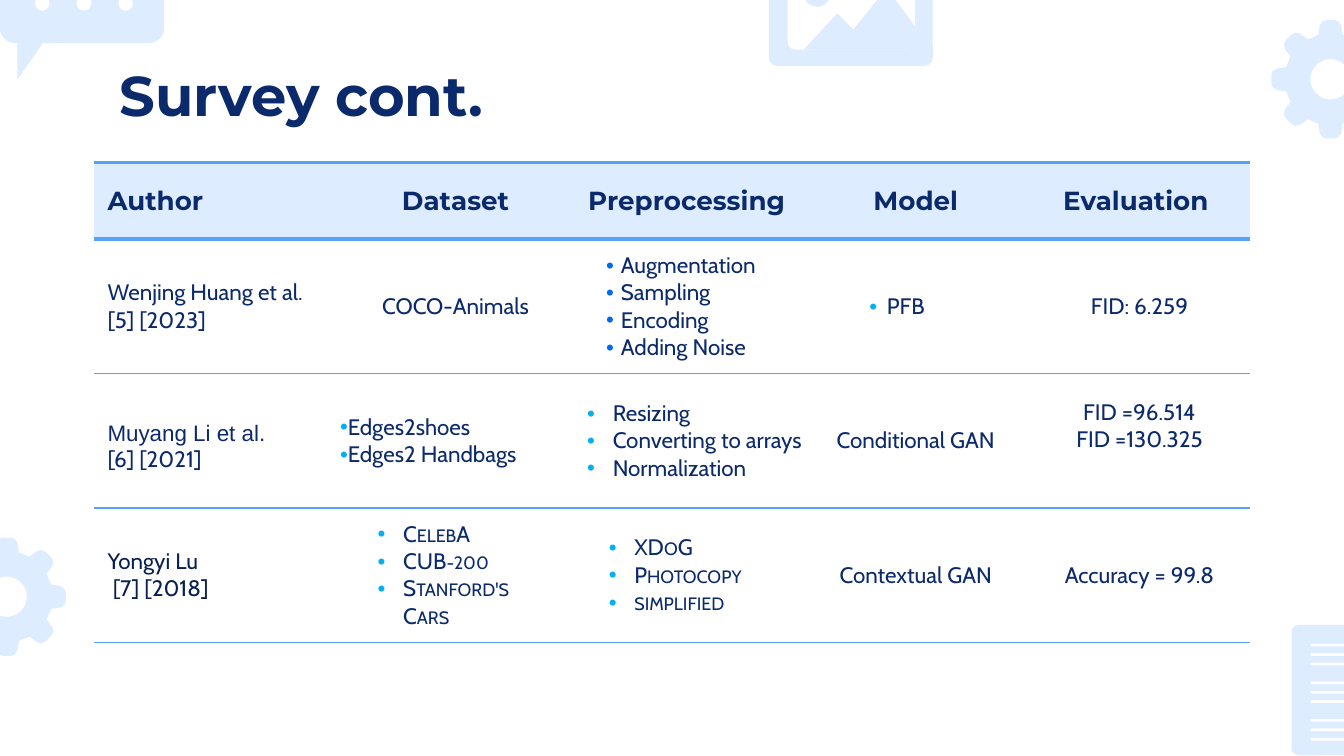
import math

import pptx
import pptx.util
from lxml import etree
from pptx.dml.color import RGBColor
from pptx.enum.shapes import MSO_SHAPE
from pptx.enum.text import MSO_ANCHOR, MSO_AUTO_SIZE, PP_ALIGN
from pptx.oxml.ns import qn

Inches, Pt = pptx.util.Inches, pptx.util.Pt

COLORS = {"navy": "0B2A6B", "deep": "081F50", "pale": "DDECFF", "white": "FFFFFF",
          "rule": "56A3F3", "blue": "0069EE", "sky": "00B0F0"}
PLAIN_STYLE = "{2D5ABB26-0587-4C30-8999-92F81FD0307C}"  # no style, no grid
HEAD = {"name": "Montserrat", "size": Pt(14), "bold": True}
BODY = {"name": "Cabin", "size": Pt(12), "bold": False}
HEADERS = ["Author", "Dataset", "Preprocessing", "Model", "Evaluation "]
COL_WIDTHS = [1.83, 1.72, 1.72, 1.69, 1.64]
ROW_HEIGHTS = [0.57, 1, 1, 1]
RULES = [2.25, 2.25, 0.75, 0.75, 1]  # above each row, then below the last

WIDE = (0.1, 0.05, 0.1, 0.05)  # cell margins: left, top, right, bottom
AUTHOR = {"margins": (0.1, 0, 0.1, 0), "align": PP_ALIGN.LEFT}
BULLETS = {"align": PP_ALIGN.LEFT, "bullet": "sky"}
SMALL_CAPS = {**BULLETS, "margins": (0.1, 0.05, 0.2, 0.05), "indent": (0.37, -0.19),
              "caps": True}
ROWS = [
    [(["Wenjing Huang et al. [5] [2023]"], AUTHOR),
     (["COCO-Animals"], {}),
     (["Augmentation", "Sampling", "Encoding", "Adding Noise"],
      {**BULLETS, "bullet": "blue", "indent": (0.37, -0.11)}),
     (["PFB"], {**BULLETS, "indent": (0.63, -0.13)}),
     (["FID: 6.259"], {})],
    [(["Muyang Li et al.", "[6] [2021]"], {**AUTHOR, "first_spacing": 1.5}),
     (["Edges2shoes", "Edges2 Handbags"], BULLETS),
     (["Resizing", "Converting to arrays", "Normalization"],
      {**BULLETS, "indent": (0.31, -0.19)}),
     (["Conditional GAN"], {}),
     (["FID =96.514", "FID =130.325"], {"margins": (0, 0, 0, 0.22)})],
    [(["Yongyi Lu", "[7] [2018]"], {**AUTHOR, "margins": WIDE, "color": "deep"}),
     (["CelebA", "CUB-200", "Stanford's Cars"], SMALL_CAPS),
     (["XDoG", "Photocopy", "simplified"], SMALL_CAPS),
     (["Contextual GAN"], {"margins": WIDE}),
     (["Accuracy = 99.8"], {"margins": WIDE})],
]


def rgb(color):
    return RGBColor.from_string(COLORS[color])


def style(font, values, color="navy"):
    for key, value in values.items():
        setattr(font, key, value)
    font.color.rgb = rgb(color)


def paint(sp, color):
    sp.shadow.inherit = False
    sp.fill.solid()
    sp.fill.fore_color.rgb = rgb(color)
    sp.line.fill.background()


def add_preset(s, kind, x, y, w, h, color, radius=None):
    sp = s.shapes.add_shape(kind, Inches(x), Inches(y), Inches(w), Inches(h))
    if radius is not None:
        sp.adjustments[0] = radius / min(w, h)
    paint(sp, color)


def add_outline(s, x, y, contours, color):
    """Draw closed contours whose points are inches from (x, y)."""
    scaled = [[(Inches(x + dx), Inches(y + dy)) for dx, dy in c] for c in contours]
    fb = s.shapes.build_freeform(*scaled[0][0], scale=1.0)
    for i, points in enumerate(scaled):
        if i:
            fb.move_to(*points[0])
        fb.add_line_segments(points[1:], close=True)
    paint(fb.convert_to_shape(), color)


def add_gear(s, cx, cy):
    half = [(0.33, 0.09), (0.4, 0.08), (0.43, 0.06), (0.44, 0.03)]
    tooth = [(r, -t) for r, t in half] + half[::-1]
    rim = []
    for k in range(8):
        c, n = math.cos(k * math.pi / 4), math.sin(k * math.pi / 4)
        rim += [(r * c - t * n, r * n + t * c) for r, t in tooth]
    hole = [(0.15 * math.cos(a), -0.15 * math.sin(a))
            for a in (k * math.pi / 24 for k in range(48))]
    add_outline(s, cx, cy, [rim, hole], "pale")


def add_bubble(s, x, y):
    add_preset(s, MSO_SHAPE.ROUNDED_RECTANGLE, x, y, 1.22, 0.62, "pale", 0.11)
    add_outline(s, x, y, [[(0.13, 0.6), (0.13, 0.89), (0.32, 0.62), (0.32, 0.6)]], "pale")
    for i in range(3):
        add_preset(s, MSO_SHAPE.OVAL, x + 0.26 + i * 0.31, y + 0.27, 0.11, 0.11, "white")


def add_photo(s, x, y):
    add_preset(s, MSO_SHAPE.ROUNDED_RECTANGLE, x, y, 1.22, 0.87, "pale", 0.06)
    add_preset(s, MSO_SHAPE.ROUNDED_RECTANGLE, x + 0.14, y + 0.11, 0.95, 0.64, "white", 0.06)
    peaks = [(0.26, 0.75), (0.51, 0.48), (0.63, 0.6), (0.88, 0.29), (1.09, 0.58), (1.09, 0.75)]
    add_outline(s, x, y, [peaks], "pale")
    add_preset(s, MSO_SHAPE.OVAL, x + 0.26, y + 0.23, 0.2, 0.2, "pale")


def add_document(s, x, y):
    add_preset(s, MSO_SHAPE.ROUNDED_RECTANGLE, x, y, 0.79, 0.97, "pale", 0.05)
    for block in range(3):
        for line, width in enumerate((0.5, 0.5, 0.33)):
            top = y + 0.14 + block * 0.28 + line * 0.07
            add_preset(s, MSO_SHAPE.ROUNDED_RECTANGLE, x + 0.14, top, width, 0.02,
                       "white", 0.01)


def add_title(s, x, y, w, h):
    sp = s.shapes.title
    sp.left, sp.top, sp.width, sp.height = (Inches(v) for v in (x, y, w, h))
    tf = sp.text_frame
    frame = {"word_wrap": True, "auto_size": MSO_AUTO_SIZE.NONE,
             "vertical_anchor": MSO_ANCHOR.TOP}
    for side in ("left", "top", "right", "bottom"):
        frame[f"margin_{side}"] = Inches(0.1)
    for key, value in frame.items():
        setattr(tf, key, value)
    p = tf.paragraphs[0]
    p.alignment = PP_ALIGN.LEFT
    r = p.add_run()
    r.text = "Survey cont."
    style(r.font, {**HEAD, "size": Pt(30)})


def add_bullet(p, color, left, first):
    pPr = p._p.get_or_add_pPr()
    pPr.set("marL", str(Inches(left)))
    pPr.set("indent", str(Inches(first)))
    clr = etree.SubElement(pPr, qn("a:buClr"))
    etree.SubElement(clr, qn("a:srgbClr"), val=COLORS[color])
    etree.SubElement(pPr, qn("a:buFont"), typeface="Arial")
    etree.SubElement(pPr, qn("a:buChar"), char="•")


def set_borders(cell, above, below):
    tcPr = cell._tc.get_or_add_tcPr()
    for tag, width in (("lnL", 0), ("lnR", 0), ("lnT", above), ("lnB", below)):
        ln = etree.SubElement(tcPr, qn(f"a:{tag}"), w=str(Pt(width)))
        if width:
            fill = etree.SubElement(ln, qn("a:solidFill"))
            etree.SubElement(fill, qn("a:srgbClr"), val=COLORS["rule"])
            etree.SubElement(ln, qn("a:prstDash"), val="solid")
        else:
            etree.SubElement(ln, qn("a:noFill"))


def fill_cell(cell, lines, fmt, font):
    cell.vertical_anchor = MSO_ANCHOR.MIDDLE
    margins = fmt.get("margins", (0, 0, 0, 0))
    for side, value in zip(("left", "top", "right", "bottom"), margins):
        setattr(cell, f"margin_{side}", Inches(value))
    tf = cell.text_frame
    for i, line in enumerate(lines):
        p = tf.paragraphs[0] if i == 0 else tf.add_paragraph()
        p.alignment = fmt.get("align", PP_ALIGN.CENTER)
        if i == 0 and "first_spacing" in fmt:
            p.line_spacing = fmt["first_spacing"]
        if "bullet" in fmt:
            add_bullet(p, fmt["bullet"], *fmt.get("indent", (0, 0)))
        r = p.add_run()
        r.text = line
        style(r.font, font, fmt.get("color", "navy"))
        if fmt.get("caps"):
            r.font._element.set("cap", "small")


def add_survey_table(s, x, y):
    frame = s.shapes.add_table(len(ROW_HEIGHTS), len(COL_WIDTHS), Inches(x), Inches(y),
                               Inches(sum(COL_WIDTHS)), Inches(sum(ROW_HEIGHTS)))
    table = frame.table
    table.first_row = table.horz_banding = False
    table._tbl.tblPr.find(qn("a:tableStyleId")).text = PLAIN_STYLE
    for col, width in zip(table.columns, COL_WIDTHS):
        col.width = Inches(width)
    header = [([name], {"margins": (0.1, 0.07, 0.1, 0.07)}) for name in HEADERS]
    header[0][1]["align"] = PP_ALIGN.LEFT
    for i, row in enumerate([header] + ROWS):
        table.rows[i].height = Inches(ROW_HEIGHTS[i])
        for j, (lines, fmt) in enumerate(row):
            cell = table.cell(i, j)
            set_borders(cell, RULES[i], RULES[i + 1])
            if i == 0:
                cell.fill.solid()
                cell.fill.fore_color.rgb = rgb("pale")
            else:
                cell.fill.background()
            fill_cell(cell, lines, fmt, BODY if i else HEAD)
    table.cell(2, 0).text_frame.paragraphs[0].runs[0].font.name = "Arial"
    year = table.cell(3, 0).text_frame.paragraphs[1]
    year._p.get_or_add_pPr().set("marL", str(Inches(0.04)))


def main():
    prs = pptx.Presentation()
    prs.slide_width, prs.slide_height = Inches(10), Inches(5.625)
    s = prs.slides.add_slide(prs.slide_layouts[5])
    add_gear(s, 0.05, 4.44)
    add_bubble(s, 0, -0.3)
    add_document(s, 9.61, 4.65)
    add_gear(s, 9.9, 0.59)
    add_photo(s, 5.72, -0.38)
    add_title(s, 0.79, 0.35, 8.43, 0.63)
    add_survey_table(s, 0.7, 1.21)
    prs.save("out.pptx")


if __name__ == "__main__":
    main()
